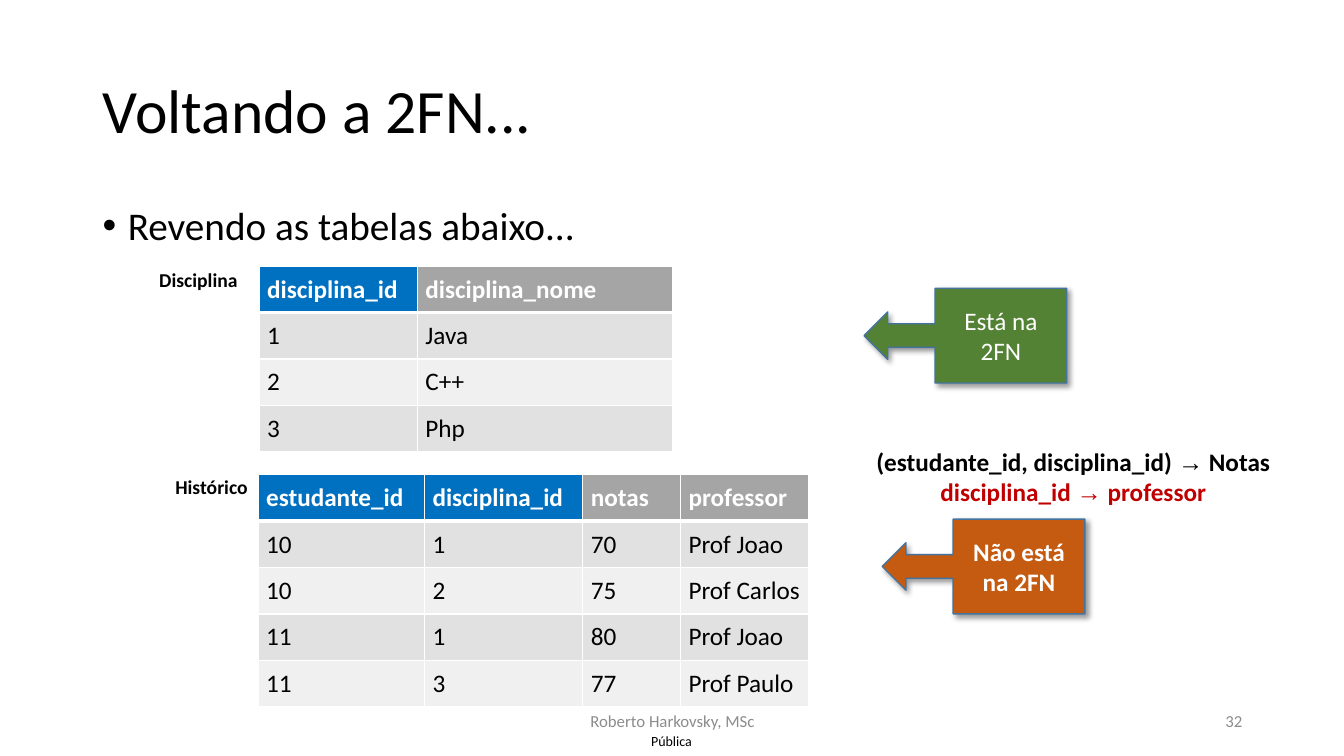
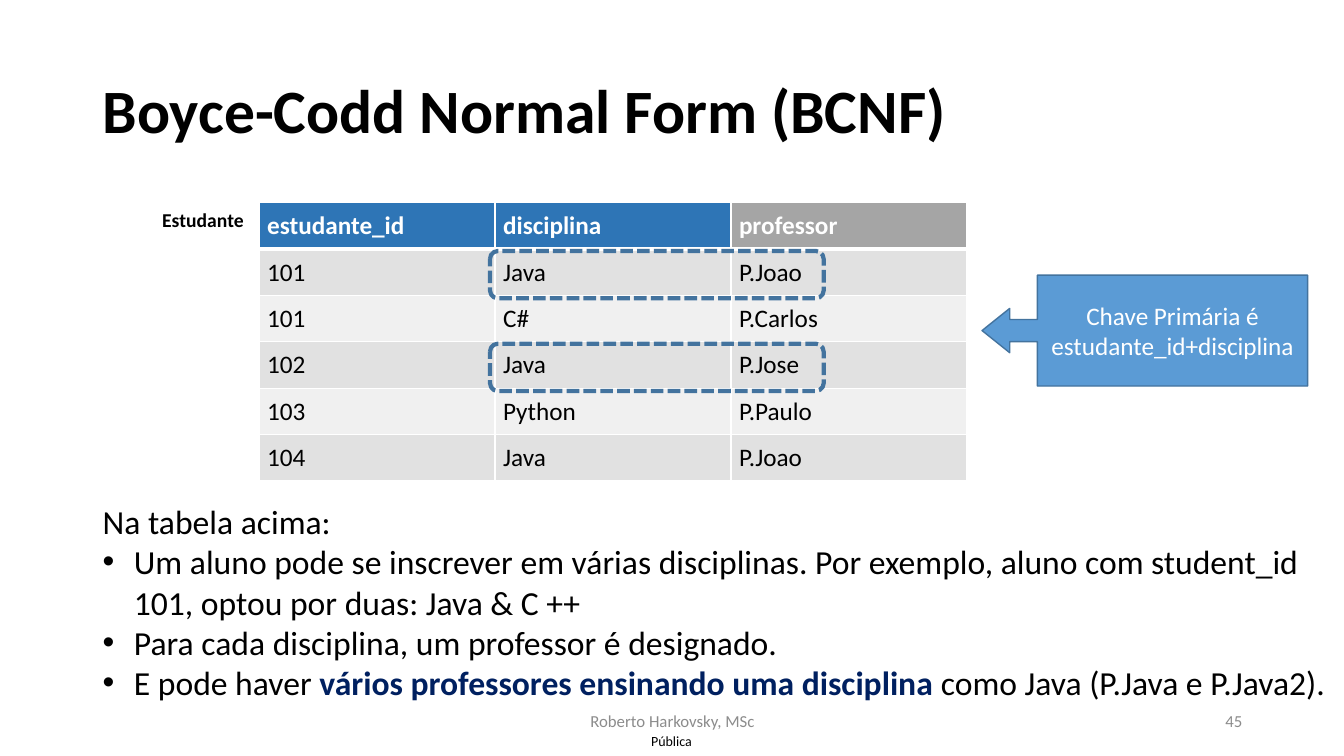
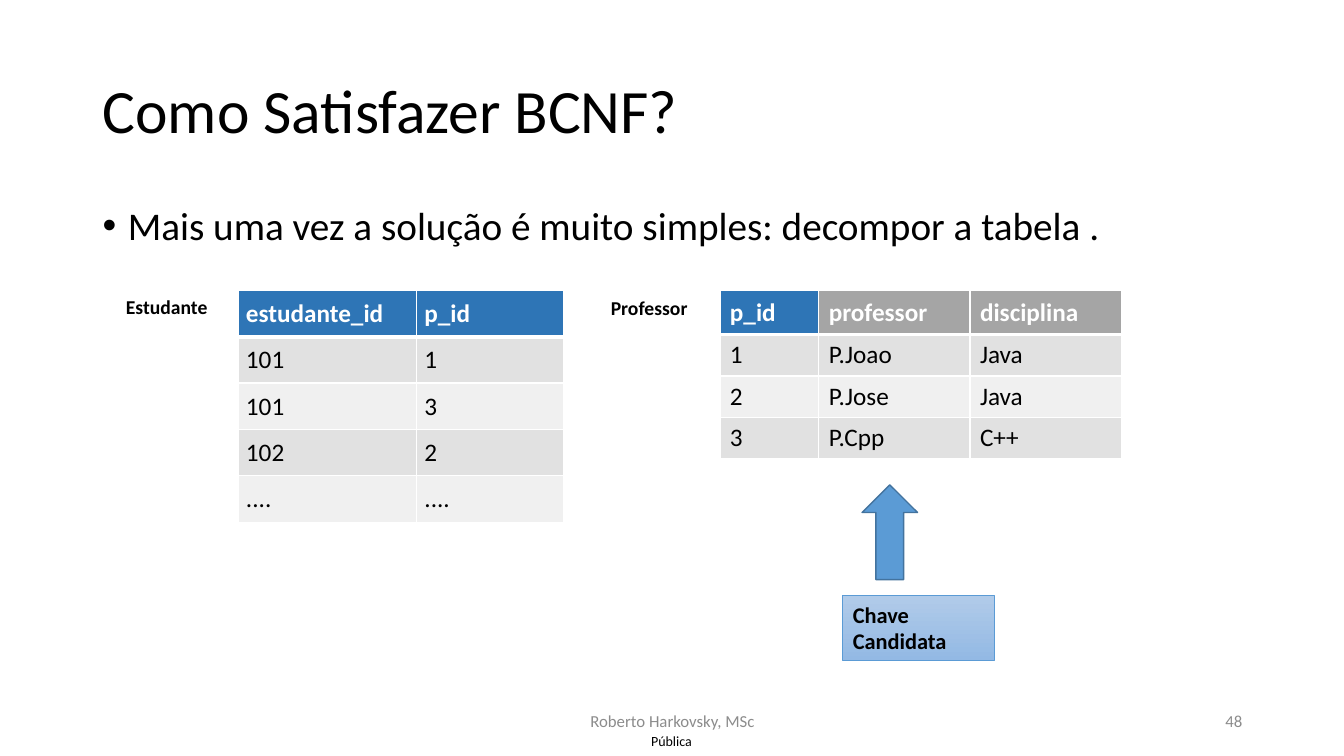
from lxml.etree import SubElement
from pptx import Presentation
from pptx.dml.color import RGBColor
from pptx.enum.dml import MSO_LINE
from pptx.enum.shapes import MSO_SHAPE as Shape
from pptx.enum.text import MSO_ANCHOR as Anchor, MSO_AUTO_SIZE as AutoSize, PP_ALIGN as Align
from pptx.oxml import parse_xml
from pptx.oxml.ns import nsdecls, qn
from pptx.util import Inches, Pt

# Shared look
FONT, ARROW_FONT = "Calibri", "Arial"
BLACK = RGBColor(0x00, 0x00, 0x00)
WHITE = RGBColor(0xFF, 0xFF, 0xFF)
FOOTER_GREY = RGBColor(0x8C, 0x8C, 0x8C)
KEY_BLUE = RGBColor(0x00, 0x70, 0xC0)
KEY_STEEL = RGBColor(0x2E, 0x75, 0xB6)
HEADER_GREY = RGBColor(0xA5, 0xA5, 0xA5)
ROW_BANDS = (RGBColor(0xE1, 0xE1, 0xE1), RGBColor(0xF0, 0xF0, 0xF0))
ACCENT = RGBColor(0x5B, 0x9B, 0xD5)
OUTLINE = RGBColor(0x43, 0x73, 0x9E)
OK_GREEN = RGBColor(0x54, 0x82, 0x35)
FAIL_ORANGE = RGBColor(0xC5, 0x5A, 0x11)
ALERT_RED = RGBColor(0xC0, 0x00, 0x00)
NAVY = RGBColor(0x00, 0x20, 0x60)
GRADIENT = (RGBColor(0xB1, 0xCB, 0xE9), RGBColor(0x93, 0xB9, 0xE4))
ROW_HEIGHT = 0.41


def write(frame, paragraphs, size=18, color=BLACK, bold=False, align=Align.LEFT,
          indent=0, bullets_from=None, spacing=None):
    """Fill a frame; a paragraph is a string or a list of (text, overrides)."""
    for number, content in enumerate(paragraphs):
        paragraph = frame.paragraphs[0] if number == 0 else frame.add_paragraph()
        if bullets_from is not None and number >= bullets_from:
            add_bullet(paragraph, indent)
        paragraph.alignment = align
        if spacing:
            paragraph.line_spacing = spacing
        runs = [(content, {})] if isinstance(content, str) else content
        for text, changes in runs:
            run = paragraph.add_run()
            run.text = text
            run.font.size = Pt(size)
            run.font.name = changes.get("font", FONT)
            run.font.bold = changes.get("bold", bold)
            run.font.color.rgb = changes.get("color", color)


def add_bullet(paragraph, indent):
    properties = paragraph._p.get_or_add_pPr()
    properties.set("marL", str(Inches(indent)))
    properties.set("indent", str(-Inches(indent)))
    SubElement(properties, qn("a:buFont")).set("typeface", ARROW_FONT)
    SubElement(properties, qn("a:buChar")).set("char", "•")


def add_text(slide, box, paragraphs, anchor=Anchor.TOP, wrap=True, inset=None, **style):
    frame = slide.shapes.add_textbox(*map(Inches, box)).text_frame
    frame.word_wrap = wrap
    frame.vertical_anchor = anchor
    if not wrap:
        frame.auto_size = AutoSize.SHAPE_TO_FIT_TEXT
    if inset is not None:
        frame.margin_left = frame.margin_right = Inches(inset)
        frame.margin_top = frame.margin_bottom = Inches(inset)
    write(frame, paragraphs, **style)


def add_figure(slide, kind, box, fill=None, line=OUTLINE, width=1):
    figure = slide.shapes.add_shape(kind, *map(Inches, box))
    figure.shadow.inherit = False
    if fill is None:
        figure.fill.background()
    else:
        figure.fill.solid()
        figure.fill.fore_color.rgb = fill
    figure.line.color.rgb = line
    figure.line.width = Pt(width)
    return figure


def add_callout(slide, box, text, fill, bold=False, adjustments=(), shadow=False):
    callout = add_figure(slide, Shape.LEFT_ARROW_CALLOUT, box, fill)
    for number, value in enumerate(adjustments):
        callout.adjustments[number] = value
    if shadow:
        effects = callout._element.spPr.find(qn("a:effectLst"))
        effects.append(parse_xml(
            f'<a:outerShdw {nsdecls("a")} blurRad="{Pt(4)}" dist="{Pt(3)}" dir="2700000" '
            'algn="tl" rotWithShape="0"><a:srgbClr val="000000">'
            '<a:alpha val="40000"/></a:srgbClr></a:outerShdw>'))
    callout.text_frame.word_wrap = True
    callout.text_frame.vertical_anchor = Anchor.MIDDLE
    write(callout.text_frame, [text], color=WHITE, bold=bold, align=Align.CENTER)


def set_borders(cell, bottom):
    properties = cell._tc.get_or_add_tcPr()
    for place, (side, width) in enumerate((("L", 1), ("R", 1), ("T", 1), ("B", bottom))):
        properties.insert(place, parse_xml(
            f'<a:ln{side} {nsdecls("a")} w="{Pt(width)}"><a:solidFill>'
            f'<a:srgbClr val="{WHITE}"/></a:solidFill></a:ln{side}>'))


def add_data_table(slide, left, top, widths, rows, keys, key_fill=KEY_STEEL,
                   header_height=ROW_HEIGHT, compact=False):
    """Place a table whose first `keys` header cells mark the primary key."""
    heights = [header_height] + [ROW_HEIGHT] * (len(rows) - 1)
    box = (left, top, sum(widths), sum(heights))
    table = slide.shapes.add_table(len(rows), len(widths), *map(Inches, box)).table
    table.first_row = table.horz_banding = False
    for column, width in zip(table.columns, widths):
        column.width = Inches(width)
    for r, (values, height) in enumerate(zip(rows, heights)):
        table.rows[r].height = Inches(height)
        header = r == 0
        for c, value in enumerate(values):
            cell = table.cell(r, c)
            if compact:
                cell.vertical_anchor = Anchor.MIDDLE
            else:
                cell.margin_left = cell.margin_right = Inches(0.08)
                cell.margin_top = cell.margin_bottom = Inches(0.08)
            cell.fill.solid()
            header_fill = key_fill if c < keys else HEADER_GREY
            cell.fill.fore_color.rgb = header_fill if header else ROW_BANDS[(r - 1) % 2]
            set_borders(cell, bottom=3 if header else 1)
            write(cell.text_frame, [value], color=WHITE if header else BLACK, bold=header)


def add_table_name(slide, left, top, width, name):
    add_text(slide, (left, top, width, 0.34), [name], wrap=False, size=14, bold=True)


def add_lead(slide, text):
    add_text(slide, (0.92, 2, 11.5, 0.56), [text], size=28,
             indent=0.25, bullets_from=0, spacing=0.9)


def start_slide(deck, title, number, bold=False):
    """Blank slide with the shared title, footer, number and classification."""
    slide = deck.slides.add_slide(deck.slide_layouts[6])
    add_text(slide, (6.31, 7.21, 0.7, 0.29), ["Pública"], anchor=Anchor.MIDDLE,
             inset=0, size=10, align=Align.CENTER)
    add_text(slide, (0.92, 0.4, 11.5, 1.45), [title], anchor=Anchor.MIDDLE,
             size=44, bold=bold, spacing=0.9)
    add_text(slide, (4.42, 6.95, 4.5, 0.4), ["Roberto Harkovsky, MSc"],
             anchor=Anchor.MIDDLE, size=12, color=FOOTER_GREY, align=Align.CENTER)
    add_text(slide, (9.42, 6.95, 3, 0.4), [str(number)],
             anchor=Anchor.MIDDLE, size=12, color=FOOTER_GREY, align=Align.RIGHT)
    return slide


def build_second_form(deck):
    slide = start_slide(deck, "Voltando a 2FN...", 32)
    add_lead(slide, "Revendo as tabelas abaixo...")
    # History table, which breaks the second normal form
    add_data_table(slide, 2.56, 4.71, (1.65, 1.57, 0.97, 1.27), [
        ("estudante_id", "disciplina_id", "notas", "professor"),
        ("10", "1", "70", "Prof Joao"),
        ("10", "2", "75", "Prof Carlos"),
        ("11", "1", "80", "Prof Joao"),
        ("11", "3", "77", "Prof Paulo"),
    ], keys=2, key_fill=KEY_BLUE)
    add_table_name(slide, 1.64, 4.66, 0.93, "Histórico")
    add_callout(slide, (8.75, 5.15, 2.01, 0.94), "Não está na 2FN", FAIL_ORANGE,
                bold=True, shadow=True)
    # Subject table, which satisfies it
    add_data_table(slide, 2.57, 2.64, (1.57, 2.53), [
        ("disciplina_id", "disciplina_nome"),
        ("1", "Java"),
        ("2", "C++"),
        ("3", "Php"),
    ], keys=1, key_fill=KEY_BLUE, header_height=0.44)
    add_table_name(slide, 1.48, 2.61, 0.99, "Disciplina")
    add_callout(slide, (8.57, 2.86, 2.01, 0.94), "Está na 2FN", OK_GREEN, shadow=True)
    # Functional dependencies
    arrow, red = {"font": ARROW_FONT}, {"color": ALERT_RED}
    add_text(slide, (8.58, 4.38, 4.13, 0.71), [
        [("(estudante_id, disciplina_id) ", {}), ("→", arrow), (" Notas", {})],
        [("disciplina_id ", red), ("→", arrow | red), (" professor", red)],
    ], wrap=False, bold=True, align=Align.CENTER)


def build_boyce_codd(deck):
    slide = start_slide(deck, "Boyce-Codd Normal Form (BCNF)", 45, bold=True)
    add_data_table(slide, 2.57, 2.01, (2.34,) * 3, [
        ("estudante_id", "disciplina", "professor"),
        ("101", "Java", "P.Joao"),
        ("101", "C#", "P.Carlos"),
        ("102", "Java", "P.Jose"),
        ("103", "Python", "P.Paulo"),
        ("104", "Java", "P.Joao"),
    ], keys=2)
    add_table_name(slide, 1.51, 2.01, 1.02, "Estudante")
    # Explanation
    add_text(slide, (0.92, 4.92, 12.42, 2.1), [
        "Na tabela acima:",
        "Um aluno pode se inscrever em várias disciplinas. Por exemplo, aluno com "
        "student_id 101, optou por duas: Java & C ++",
        "Para cada disciplina, um professor é designado.",
        [("E pode haver ", {}),
         ("vários professores ensinando uma disciplina ", {"color": NAVY, "bold": True}),
         ("como Java (P.Java e P.Java2).", {})],
    ], size=24, indent=0.31, bullets_from=1)
    add_callout(slide, (9.74, 2.73, 3.23, 1.1), "Chave Primária é estudante_id+disciplina",
                ACCENT, adjustments=(0.2, 0.2, 0.25, 0.83))
    # Dashed marks around the repeated subject
    for top in (2.49, 3.41):
        mark = add_figure(slide, Shape.ROUNDED_RECTANGLE, (4.86, top, 3.31, 0.47), width=3)
        mark.line.dash_style = MSO_LINE.SQUARE_DOT


def build_decomposition(deck):
    slide = start_slide(deck, "Como Satisfazer BCNF?", 48)
    add_lead(slide, "Mais uma vez a solução é muito simples: decompor a tabela .")
    # Decomposed tables
    add_data_table(slide, 7.14, 2.88, (0.98, 1.5, 1.5), [
        ("p_id", "professor", "disciplina"),
        ("1", "P.Joao", "Java"),
        ("2", "P.Jose", "Java"),
        ("3", "P.Cpp", "C++"),
    ], keys=1, header_height=0.44, compact=True)
    add_table_name(slide, 1.15, 2.88, 1.02, "Estudante")
    add_table_name(slide, 5.96, 2.89, 0.97, "Professor")
    add_data_table(slide, 2.36, 2.88, (1.77, 1.46), [
        ("estudante_id", "p_id"),
        ("101", "1"),
        ("101", "3"),
        ("102", "2"),
        ("....", "...."),
    ], keys=2)
    # Candidate key
    add_figure(slide, Shape.UP_ARROW, (8.55, 4.81, 0.55, 0.94), ACCENT)
    candidate = add_figure(slide, Shape.RECTANGLE, (8.36, 5.91, 1.5, 0.64),
                           line=ACCENT, width=0.5)
    candidate.fill.gradient()
    candidate.fill.gradient_angle = 270
    for stop, color, position in zip(candidate.fill.gradient_stops, GRADIENT, (0, 1)):
        stop.color.rgb = color
        stop.position = position
    candidate.text_frame.word_wrap = True
    candidate.text_frame.vertical_anchor = Anchor.TOP
    write(candidate.text_frame, ["Chave Candidata"], size=16, bold=True)


def main():
    deck = Presentation()
    deck.slide_width, deck.slide_height = Inches(13.33), Inches(7.5)
    build_second_form(deck)
    build_boyce_codd(deck)
    build_decomposition(deck)
    deck.save("out.pptx")


if __name__ == "__main__":
    main()
